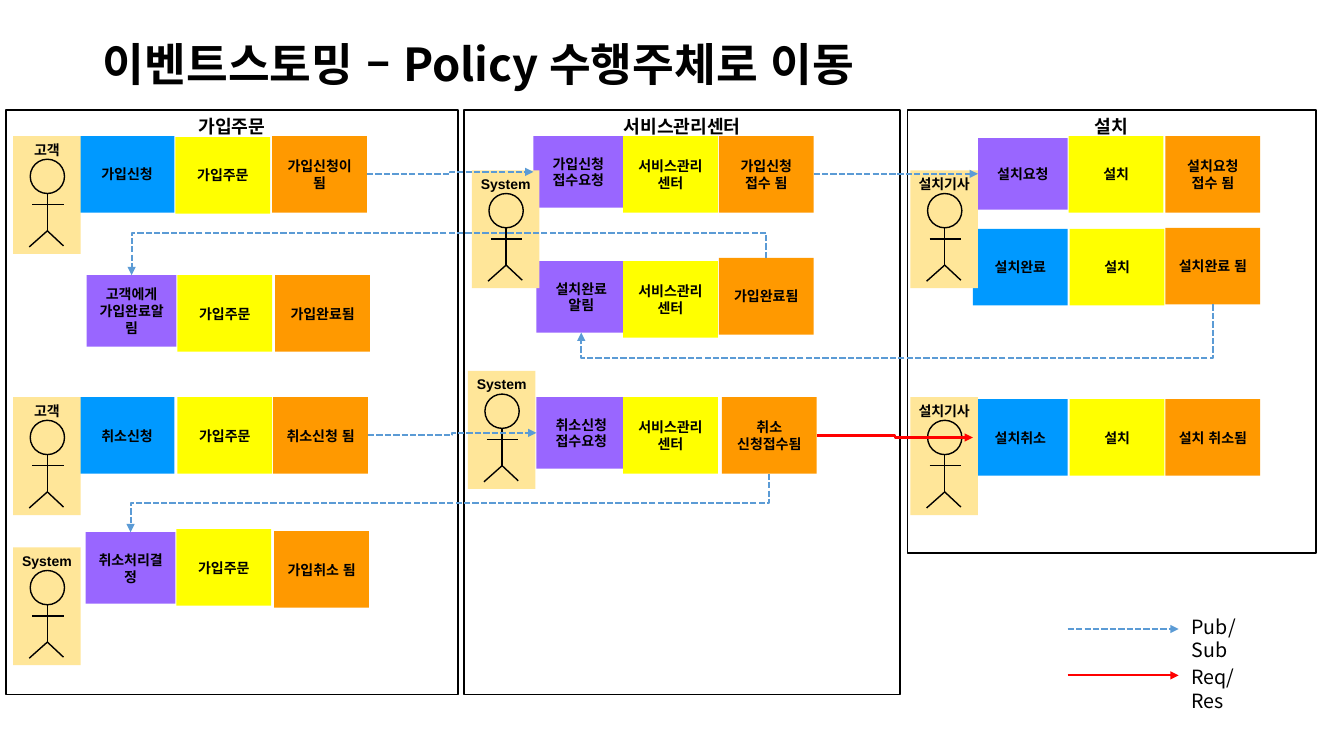
from lxml import etree
from pptx import Presentation
from pptx.dml.color import RGBColor
from pptx.enum.dml import MSO_LINE
from pptx.enum.lang import MSO_LANGUAGE_ID
from pptx.enum.shapes import MSO_CONNECTOR, MSO_SHAPE
from pptx.enum.text import MSO_ANCHOR, MSO_AUTO_SIZE, PP_ALIGN
from pptx.oxml.ns import qn
from pptx.util import Inches, Pt

RECTANGLE, OVAL = MSO_SHAPE.RECTANGLE, MSO_SHAPE.OVAL
STRAIGHT, ELBOW = MSO_CONNECTOR.STRAIGHT, MSO_CONNECTOR.ELBOW
TOP, MIDDLE = MSO_ANCHOR.TOP, MSO_ANCHOR.MIDDLE
LEFT, CENTER = PP_ALIGN.LEFT, PP_ALIGN.CENTER
DASH, KOREAN, NO_FIT = MSO_LINE.SQUARE_DOT, MSO_LANGUAGE_ID.KOREAN, MSO_AUTO_SIZE.NONE
TOP_SIDE, LEFT_SIDE, BOTTOM_SIDE, RIGHT_SIDE = range(4)

KOREAN_FONT = "Noto Sans CJK KR"
BLACK, BLUE, RED, ACTOR_FILL = "000000", "5B9BD5", "FF0000", "FFE699"
NOTE_STYLES = {
    "command": ("0099FF", 0.94, 0.76),
    "policy": ("9966FF", 0.89, 0.71),
    "aggregate": ("FFFF00", 0.94, 0.76),
    "event": ("FF9900", 0.94, 0.76),
}
NOTE_ROWS = {
    "join": [("command", "가입신청", 0.79, 1.35), ("aggregate", "가입주문", 1.74, 1.36),
             ("event", "가입신청이 됨", 2.7, 1.35)],
    "join done": [("policy", "고객에게 가입완료알림", 0.86, 2.73), ("aggregate", "가입주문", 1.76, 2.73),
                  ("event", "가입완료됨", 2.73, 2.73)],
    "cancel": [("command", "취소신청", 0.79, 3.94), ("aggregate", "가입주문", 1.76, 3.94),
               ("event", "취소신청 됨", 2.71, 3.94)],
    "cancel done": [("policy", "취소처리결정", 0.85, 5.28), ("aggregate", "가입주문", 1.75, 5.25),
                    ("event", "가입취소 됨", 2.72, 5.27)],
    "center join": [("policy", "가입신청 접수요청", 5.29, 1.35), ("aggregate", "서비스관리센터", 6.18, 1.35),
                    ("event", "가입신청 접수 됨", 7.13, 1.35)],
    "center done": [("policy", "설치완료 알림", 5.32, 2.59), ("aggregate", "서비스관리센터", 6.18, 2.59),
                    ("event", "가입완료됨", 7.13, 2.56)],
    "center cancel": [("policy", "취소신청 접수요청", 5.32, 3.94), ("aggregate", "서비스관리센터", 6.18, 3.94),
                      ("event", "취소 신청접수됨", 7.16, 3.94)],
    "install": [("policy", "설치요청", 9.7, 1.37), ("aggregate", "설치", 10.6, 1.35),
                ("event", "설치요청 접수 됨", 11.56, 1.35)],
    "install done": [("command", "설치완료", 9.65, 2.27), ("aggregate", "설치", 10.61, 2.27),
                     ("event", "설치완료 됨", 11.56, 2.26)],
    "install cancel": [("command", "설치취소", 9.65, 3.96), ("aggregate", "설치", 10.61, 3.96),
                       ("event", "설치 취소됨", 11.56, 3.96)],
}
ACTORS = [
    ("설치기사", 9.03, 1.69), ("System", 4.68, 1.69), ("System", 4.64, 3.68), ("고객", 0.13, 1.35),
    ("고객", 0.13, 3.94), ("System", 0.13, 5.43), ("설치기사", 9.03, 3.94),
]
LIMBS = [
    (0.34, 0.57, 0.34, 0.94), (0.19, 0.68, 0.5, 0.68),
    (0.34, 0.94, 0.16, 1.1), (0.34, 0.94, 0.5, 1.09),
]
CONTEXTS = [("가입주문", 0.06, 4.48, 5.8), ("설치", 9, 4.05, 4.4), ("서비스관리센터", 4.6, 4.33, 5.8)]
SIDE_FLOWS = [
    ("join", "center join", BLUE, DASH), ("center join", "install", BLUE, DASH),
    ("cancel", "center cancel", BLUE, DASH), ("center cancel", "install cancel", RED, None),
]
RETURN_FLOWS = [
    ("install done", BOTTOM_SIDE, "center done", BOTTOM_SIDE, 3.55),
    ("center done", TOP_SIDE, "join done", TOP_SIDE, 2.31),
    ("center cancel", BOTTOM_SIDE, "cancel done", TOP_SIDE, 4.99),
]
LEGEND = [("Pub/Sub", 6.24, 6.05, BLUE, DASH), ("Req/Res", 6.7, 6.55, RED, None)]


def color(value):
    return RGBColor.from_string(value)


def write(box, text, size, font=KOREAN_FONT, bold=True, align=CENTER, **frame_format):
    for name, value in {"word_wrap": True, "auto_size": NO_FIT, **frame_format}.items():
        setattr(box.text_frame, name, value)
    para = box.text_frame.paragraphs[0]
    para.alignment = align
    span = para.add_run()
    span.text = text
    font_format = {"name": font, "size": Pt(size), "bold": bold, "language_id": KOREAN}
    for name, value in font_format.items():
        setattr(span.font, name, value)
    span.font.color.rgb = color(BLACK)
    east_asian = etree.SubElement(span.font._element, qn("a:ea"))
    east_asian.set("typeface", font)
    return para


def add_box(page, kind, left, top, width, height, fill=None, line_width=None):
    box = page.shapes.add_shape(kind, Inches(left), Inches(top), Inches(width), Inches(height))
    box.shadow.inherit = False
    if fill:
        box.fill.solid()
        box.fill.fore_color.rgb = color(fill)
    else:
        box.fill.background()
    if line_width:
        box.line.color.rgb = color(BLACK)
        box.line.width = Pt(line_width)
    else:
        box.line.fill.background()
    return box


def add_note(page, kind, text, left, top):
    fill, width, height = NOTE_STYLES[kind]
    note = add_box(page, RECTANGLE, left, top, width, height, fill)
    write(note, text, 10, vertical_anchor=MIDDLE)
    return note


def add_line(page, kind, ends, stroke, width, dash=None, arrow=False):
    line = page.shapes.add_connector(kind, *[Inches(value) for value in ends])
    line.line.color.rgb = color(stroke)
    line.line.width = Pt(width)
    if dash:
        line.line.dash_style = dash
    if arrow:
        tail = etree.SubElement(line.line._get_or_add_ln(), qn("a:tailEnd"))
        tail.set("type", "triangle")
    etree.SubElement(line.element.spPr, qn("a:effectLst"))
    return line


def add_actor(page, name, left, top):
    card = add_box(page, RECTANGLE, left, top, 0.67, 1.17, ACTOR_FILL)
    write(card, name, 10, "Arial", word_wrap=False, vertical_anchor=TOP)
    add_box(page, OVAL, left + 0.17, top + 0.23, 0.34, 0.34, line_width=1)
    for x1, y1, x2, y2 in LIMBS:
        add_line(page, STRAIGHT, (left + x1, top + y1, left + x2, top + y2), BLACK, 1)


def add_flow(page, source, source_side, target, target_side, stroke, dash):
    flow = add_line(page, ELBOW, (0, 0, 1, 1), stroke, 1.5, dash, arrow=True)
    flow.begin_connect(source, source_side)
    flow.end_connect(target, target_side)
    return flow


def turn_flow(flow, turn):
    x1, y1, x2, y2 = flow.begin_x, flow.begin_y, flow.end_x, flow.end_y
    width, height = y2 - y1, x1 - x2
    frame = flow.element.spPr.find(qn("a:xfrm"))
    for flip in ("flipH", "flipV"):
        frame.attrib.pop(flip, None)
    frame.set("rot", str(90 * 60000))
    placement = {"left": (x1 + x2 - width) // 2, "top": (y1 + y2 - height) // 2,
                 "width": width, "height": height}
    for name, value in placement.items():
        setattr(flow, name, value)
    guide = etree.SubElement(next(flow.element.iter(qn("a:avLst"))), qn("a:gd"))
    guide.set("name", "adj1")
    guide.set("fmla", f"val {round((Inches(turn) - y1) / width * 100000)}")


def add_title(page, text):
    title = page.shapes.title
    placement = {"left": 0.92, "top": 0.4, "width": 11.5, "height": 0.53}
    for name, value in placement.items():
        setattr(title, name, Inches(value))
    para = write(title, text, 32.4, align=LEFT, vertical_anchor=MIDDLE)
    para.line_spacing = 0.9


def add_legend(page, text, line_y, text_y, stroke, dash):
    add_line(page, STRAIGHT, (10.59, line_y, 11.69, line_y), stroke, 1.5, dash, arrow=True)
    label = page.shapes.add_textbox(Inches(11.72), Inches(text_y), Inches(0.96), Inches(0.34))
    write(label, text, 14, bold=False, align=LEFT, margin_right=Inches(0.2))


def main():
    deck = Presentation()
    deck.slide_width, deck.slide_height = Inches(13.33), Inches(7.5)
    page = deck.slides.add_slide(deck.slide_layouts[5])
    add_title(page, "이벤트스토밍 – Policy 수행주체로 이동")
    rows = {name: [add_note(page, *note) for note in notes] for name, notes in NOTE_ROWS.items()}
    for actor in ACTORS:
        add_actor(page, *actor)
    for name, left, width, height in CONTEXTS:
        context = add_box(page, RECTANGLE, left, 1.09, width, height, line_width=1.25)
        write(context, name, 13, word_wrap=False, vertical_anchor=TOP)
    for source, target, stroke, dash in SIDE_FLOWS:
        add_flow(page, rows[source][-1], RIGHT_SIDE, rows[target][0], LEFT_SIDE, stroke, dash)
    for source, source_side, target, target_side, turn in RETURN_FLOWS:
        flow = add_flow(page, rows[source][-1], source_side, rows[target][0], target_side, BLUE, DASH)
        turn_flow(flow, turn)
    for entry in LEGEND:
        add_legend(page, *entry)
    deck.save("out.pptx")


if __name__ == "__main__":
    main()
